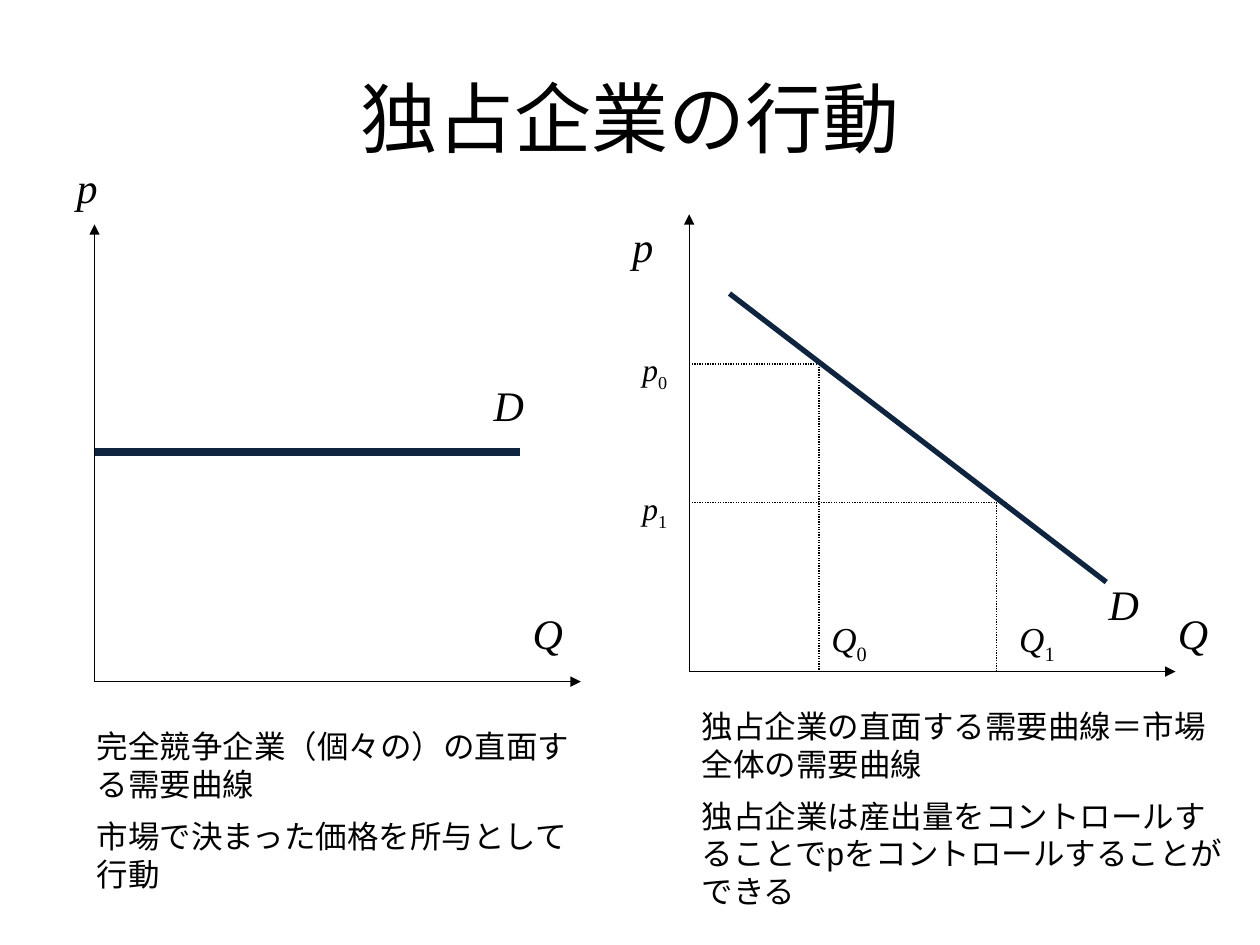
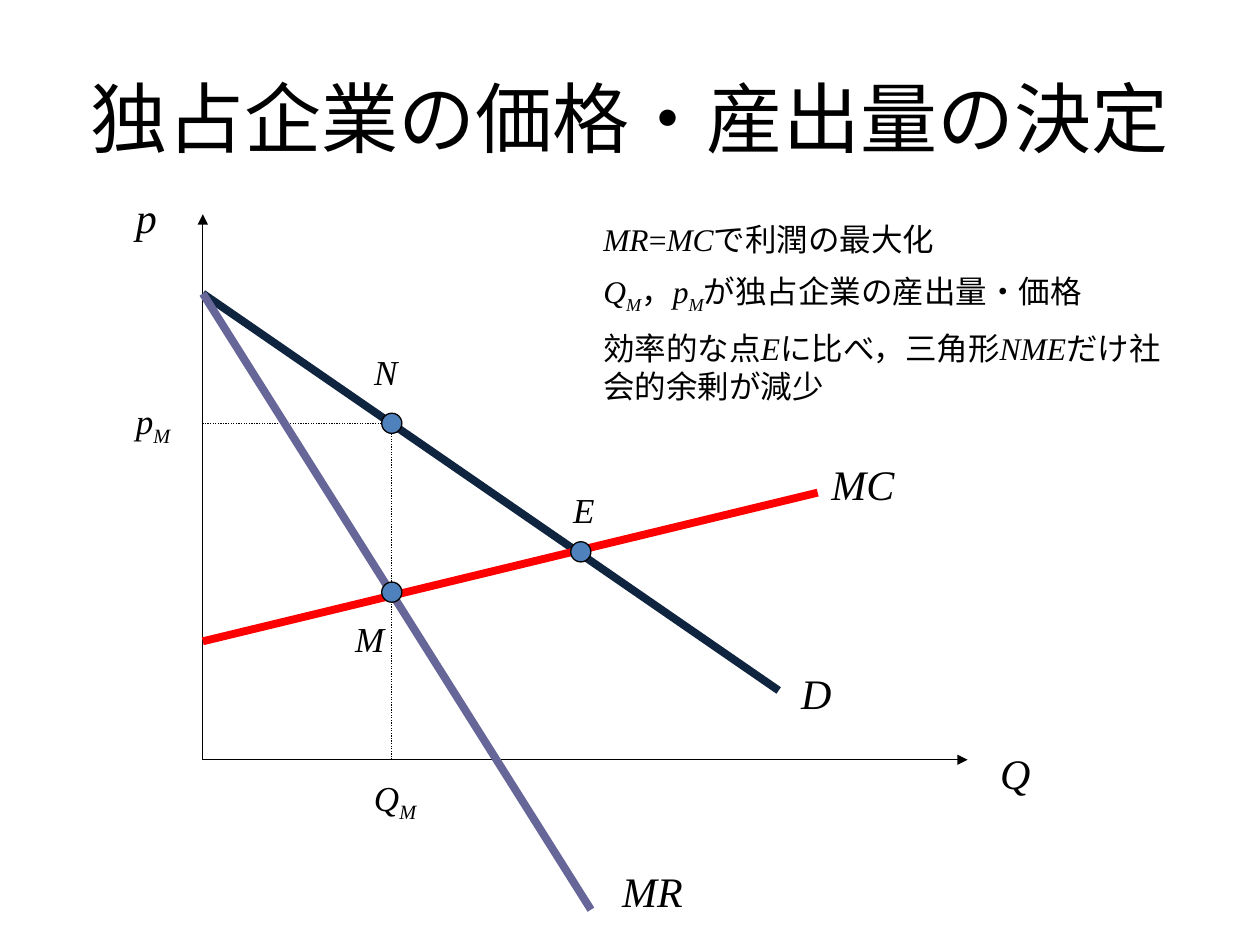
from dataclasses import dataclass

from lxml.etree import SubElement
from pptx import Presentation
from pptx.dml.color import RGBColor
from pptx.enum.dml import MSO_LINE_DASH_STYLE as DASH
from pptx.enum.shapes import MSO_CONNECTOR as CONNECTOR, MSO_SHAPE as SHAPE
from pptx.enum.text import MSO_ANCHOR as ANCHOR, MSO_AUTO_SIZE as AUTO_SIZE, PP_ALIGN as ALIGN
from pptx.oxml.ns import qn
from pptx.util import Inches, Pt


@dataclass(frozen=True)
class Theme:
    ink: RGBColor = RGBColor(0, 0, 0)
    demand: RGBColor = RGBColor(0x0F, 0x24, 0x3E)
    revenue: RGBColor = RGBColor(0x66, 0x66, 0x99)
    cost: RGBColor = RGBColor(0xFF, 0, 0)
    dot: RGBColor = RGBColor(0x4F, 0x81, 0xBD)
    title_font: str = "Calibri"
    body_font: str = "Arial"
    math_font: str = "Times New Roman"
    title: int = 44
    axis: int = 24
    mark: int = 20
    body: int = 18
    thin: float = 0.75
    medium: float = 3
    thick: float = 4.5


theme = Theme()


def add_text(page, place, paragraphs, size, font):
    box = page.shapes.add_textbox(*map(Inches, place))
    frame = box.text_frame
    frame.word_wrap = True
    frame.auto_size = AUTO_SIZE.SHAPE_TO_FIT_TEXT
    for index, spans in enumerate(paragraphs):
        para = frame.add_paragraph() if index else frame.paragraphs[0]
        para.space_before = Pt(size * 0.45 if index else 0)
        para.font.size = Pt(size)
        para.font.name = font
        para.font.color.rgb = theme.ink
        for text, style in spans:
            span = para.add_run()
            span.text = text
            span.font.italic = "italic" in style
            if "sub" in style:
                span.font._element.set("baseline", "-25000")
    return box


def add_line(page, start, end, color=theme.ink, width=theme.thin, dotted=False, arrow=False):
    line = page.shapes.add_connector(CONNECTOR.STRAIGHT, *map(Inches, (*start, *end)))
    line.line.color.rgb = color
    line.line.width = Pt(width)
    if dotted:
        line.line.dash_style = DASH.ROUND_DOT
    if arrow:
        SubElement(line.line._get_or_add_ln(), qn("a:tailEnd"), type="triangle")
    SubElement(line._element.spPr, qn("a:effectLst"))


deck = Presentation()
deck.slide_width, deck.slide_height = Inches(10), Inches(7.5)

pages = []
for title in ("独占企業の行動", "独占企業の価格・産出量の決定"):
    page = deck.slides.add_slide(deck.slide_layouts[6])
    box = add_text(page, (0.5, 0.3, 9, 1.25), [[(title, "")]], theme.title, theme.title_font)
    box.text_frame.auto_size = AUTO_SIZE.NONE
    box.text_frame.vertical_anchor = ANCHOR.MIDDLE
    box.text_frame.paragraphs[0].alignment = ALIGN.CENTER
    pages.append(page)
behavior, decision = pages

guides = [
    (behavior, (5.47, 2.89), (6.5, 2.89)),
    (behavior, (6.5, 2.89), (6.5, 5.33)),
    (behavior, (5.47, 3.99), (7.99, 3.99)),
    (behavior, (7.91, 3.99), (7.91, 5.33)),
    (decision, (3.11, 6.03), (3.11, 3.44)),
    (decision, (3.11, 3.36), (1.61, 3.36)),
]
for page, start, end in guides:
    add_line(page, start, end, dotted=True)

axes = [
    (behavior, (0.75, 5.41), 4.61, 1.78),
    (behavior, (5.47, 5.33), 9.33, 1.7),
    (decision, (1.61, 6.03), 7.68, 1.7),
]
for page, origin, right, top in axes:
    add_line(page, origin, (right, origin[1]), arrow=True)
    add_line(page, origin, (origin[0], top), arrow=True)

curves = [
    (behavior, (0.75, 3.59), (4.13, 3.59), theme.demand, theme.thick),
    (behavior, (5.79, 2.33), (8.78, 4.62), theme.demand, theme.medium),
    (decision, (1.61, 2.33), (6.18, 5.48), theme.demand, theme.thick),
    (decision, (1.61, 2.33), (4.69, 7.22), theme.revenue, theme.thick),
    (decision, (1.61, 5.09), (6.49, 3.91), theme.cost, theme.thick),
]
for curve in curves:
    add_line(*curve)

diameter = 0.16
for left, top in ((3.03, 4.62), (3.03, 3.28), (4.53, 4.3)):
    dot = decision.shapes.add_shape(SHAPE.OVAL, *map(Inches, (left, top, diameter, diameter)))
    dot.shadow.inherit = False
    dot.fill.solid()
    dot.fill.fore_color.rgb = theme.dot
    dot.line.color.rgb = theme.ink
    dot.line.width = Pt(theme.thin)

heights = {theme.axis: 0.5, theme.mark: 0.43, theme.body: 0.4}
labels = [
    (behavior, 0.51, 1.23, 0.39, theme.axis, "p", ""),
    (behavior, 4.13, 4.77, 0.47, theme.axis, "Q", ""),
    (behavior, 3.82, 2.96, 0.55, theme.axis, "D", ""),
    (behavior, 4.92, 1.7, 0.39, theme.axis, "p", ""),
    (behavior, 9.25, 4.77, 0.47, theme.axis, "Q", ""),
    (behavior, 8.7, 4.54, 0.55, theme.axis, "D", ""),
    (behavior, 6.5, 4.85, 0.63, theme.mark, "Q", "0"),
    (behavior, 7.99, 4.85, 0.55, theme.mark, "Q", "1"),
    (behavior, 5, 2.73, 0.47, theme.body, "p", "0"),
    (behavior, 5, 3.83, 0.47, theme.body, "p", "1"),
    (decision, 7.84, 5.88, 0.47, theme.axis, "Q", ""),
    (decision, 0.98, 1.47, 0.47, theme.axis, "p", ""),
    (decision, 6.26, 5.25, 0.63, theme.axis, "D", ""),
    (decision, 4.84, 6.82, 0.87, theme.axis, "MR", ""),
    (decision, 6.5, 3.59, 0.87, theme.axis, "MC", ""),
    (decision, 2.72, 4.85, 0.39, theme.mark, "M", ""),
    (decision, 2.87, 2.73, 0.39, theme.mark, "N", ""),
    (decision, 4.45, 3.83, 0.39, theme.mark, "E", ""),
    (decision, 2.87, 6.11, 0.63, theme.mark, "Q", "M"),
    (decision, 0.98, 3.12, 0.63, theme.mark, "p", "M"),
]
for page, left, top, width, size, symbol, index in labels:
    spans = [(symbol, "italic")]
    if index:
        spans.append((index, "sub" if index.isdigit() else "italic sub"))
    add_text(page, (left, top, width, heights[size]), [spans], size, theme.math_font)

competitive_notes = [
    [("完全競争企業（個々の）の直面する需要曲線", "")],
    [("市場で決まった価格を所与として行動", "")],
]
monopoly_notes = [
    [("独占企業の直面する需要曲線＝市場全体の需要曲線", "")],
    [("独占企業は産出量をコントロールすることでpをコントロールすることができる", "")],
]
decision_notes = [
    [("MR", "italic"), ("=", ""), ("MC", "italic"), ("で利潤の最大化", "")],
    [("Q", "italic"), ("M", "italic sub"), ("，", ""), ("p", "italic"), ("M", "italic sub"),
     ("が独占企業の産出量・価格", "")],
    [("効率的な点", ""), ("E", "italic"), ("に比べ，三角形", ""), ("NME", "italic"),
     ("だけ社会的余剰が減少", "")],
]
add_text(behavior, (0.67, 5.72, 4.17, 1.15), competitive_notes, theme.body, theme.body_font)
add_text(behavior, (5.47, 5.56, 4.33, 1.45), monopoly_notes, theme.body, theme.body_font)
add_text(decision, (4.69, 1.7, 4.8, 1.6), decision_notes, theme.body, theme.math_font)

deck.save("out.pptx")
